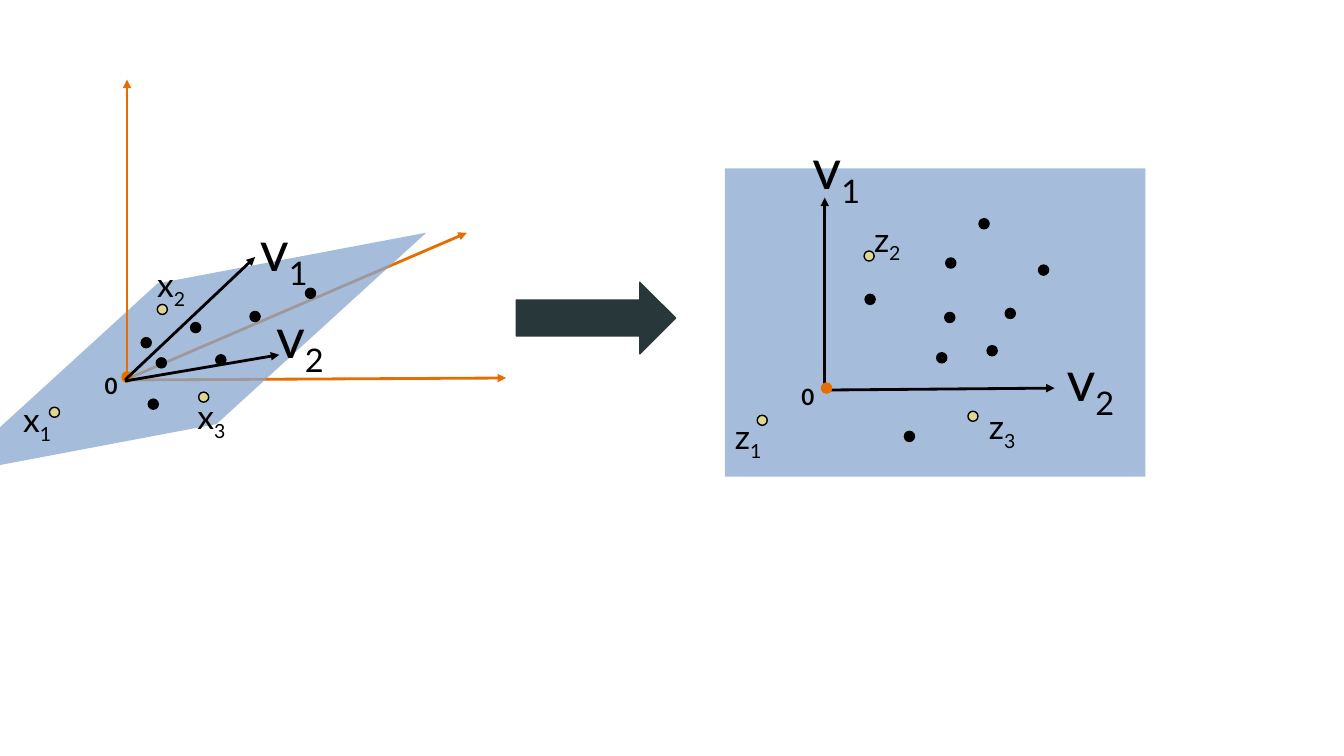
from pptx import Presentation
from pptx.dml.color import RGBColor
from pptx.enum.shapes import MSO_CONNECTOR, MSO_SHAPE
from pptx.enum.text import MSO_AUTO_SIZE
from pptx.oxml.ns import qn
from pptx.util import Inches, Pt
from lxml import etree

STRAIGHT = MSO_CONNECTOR.STRAIGHT
PARALLELOGRAM = MSO_SHAPE.PARALLELOGRAM
OVAL = MSO_SHAPE.OVAL
RIGHT_ARROW = MSO_SHAPE.RIGHT_ARROW
GROW = MSO_AUTO_SIZE.SHAPE_TO_FIT_TEXT

COLORS = {
    "ink": "000000",
    "axis": "E76D00",
    "plane": "87A7D0",
    "marked": "DFD693",
    "arrow": "27373A",
}
COLUMNS, ROWS = 133.3, 75


class Diagram:
    """Draws on one page; positions and sizes are in grid columns and rows."""

    font = "Lato"
    dot_size = 1
    label_width = 7.9
    label_heights = {16: 3.7, 24: 5, 40: 7.7}

    def __init__(self, deck):
        self.page = deck.slides.add_slide(deck.slide_layouts[6])
        self.column = deck.slide_width / COLUMNS
        self.row = deck.slide_height / ROWS

    def place(self, column, row):
        return round(column * self.column), round(row * self.row)

    def shape(self, kind, left, top, width, height, color, outline=None):
        shape = self.page.shapes.add_shape(
            kind, *self.place(left, top), *self.place(width, height))
        shape.shadow.inherit = False
        shape.fill.solid()
        shape.fill.fore_color.rgb = RGBColor.from_string(COLORS[color])
        if outline:
            shape.line.color.rgb = RGBColor.from_string(COLORS[outline])
            shape.line.width = Pt(1)
        else:
            shape.line.fill.background()
        return shape

    def plane(self, left, top, width, height, slant=0, turn=0):
        plane = self.shape(PARALLELOGRAM, left, top, width, height, "plane")
        plane.adjustments[0] = slant
        plane.rotation = turn
        color = next(plane._element.spPr.iter(qn("a:srgbClr")))
        etree.SubElement(color, qn("a:alpha"), val="75000")

    def dots(self, centers, color="ink", outline="ink"):
        size = self.dot_size
        for column, row in centers:
            dot = self.shape(OVAL, column - size / 2, row - size / 2,
                             size, size, color, outline)
            dot.rotation = 90

    def vector(self, start, end, color="ink"):
        line = self.page.shapes.add_connector(
            STRAIGHT, *self.place(*start), *self.place(*end))
        line.line.color.rgb = RGBColor.from_string(COLORS[color])
        line.line.width = Pt(2)
        etree.SubElement(line.line._get_or_add_ln(), qn("a:tailEnd"), type="triangle")
        etree.SubElement(line._element.spPr, qn("a:effectLst"))

    def label(self, left, top, size, letter, index="", bold=False):
        """Write a letter, followed by its index as a subscript."""
        box = self.page.shapes.add_textbox(
            *self.place(left, top),
            *self.place(self.label_width, self.label_heights[size]))
        frame = box.text_frame
        frame.word_wrap = True
        frame.auto_size = GROW
        para = frame.paragraphs[0]
        for text in filter(None, (letter, index)):
            span = para.add_run()
            span.text = text
            span.font.name = self.font
            span.font.size = Pt(size)
            span.font.bold = bold
            span.font.color.rgb = RGBColor.from_string(COLORS["ink"])
            if text == index:
                span._r.get_or_add_rPr().set("baseline", "-25000")

    def labels(self, letter, size, positions):
        for index, (left, top) in enumerate(positions, start=1):
            self.label(left, top, size, letter, str(index))


def draw_original_space(diagram):
    diagram.vector((12.6, 37.7), (50.2, 37.5), "axis")
    diagram.vector((12.6, 37.6), (46.3, 23.1), "axis")
    diagram.plane(-7, 27.7, 51.1, 14.8, slant=1.62, turn=349.3)
    diagram.dots([(14.5, 34), (16, 36), (15.2, 40.1), (21.9, 35.7),
                  (25.3, 31.4), (19.4, 32.5), (30.8, 29.1)])
    diagram.dots([(5.4, 40.9), (16.1, 30.7), (20.2, 39.4)], "marked")
    diagram.vector((12.6, 38), (12.6, 7.9), "axis")
    diagram.dots([(12.6, 37.4)], "axis", "axis")
    diagram.label(9.4, 36.4, 16, "0", bold=True)
    diagram.vector((12.4, 37.8), (27.7, 35.2))
    diagram.vector((12.4, 37.7), (25.3, 25.5))
    diagram.labels("v", 40, [(24.8, 20.9), (26.4, 29.5)])
    diagram.labels("x", 24, [(1.3, 39.1), (14.6, 25.7), (18.6, 38.8)])


def draw_projected_space(diagram):
    diagram.plane(71.9, 16.7, 41.7, 30.6)
    diagram.vector((81.6, 38.7), (104.6, 38.5))
    diagram.vector((81.8, 38.6), (81.8, 19.6))
    diagram.dots([(86.3, 29.7), (94.2, 31.5), (93.4, 35.5), (94.3, 26.1),
                  (100.2, 31.1), (103.5, 26.8), (98.4, 34.8),
                  (97.6, 22.2), (90.2, 43.3)])
    diagram.dots([(81.98, 38.5)], "axis", "axis")
    diagram.dots([(75.6, 41.7), (96.5, 41.3), (86.2, 25.4)], "marked")
    diagram.label(78.5, 37.5, 16, "0", bold=True)
    diagram.labels("v", 40, [(79.6, 12.8), (104.8, 33.8)])
    diagram.labels("z", 24, [(71.9, 40.8), (85.7, 21.2), (97.1, 39.8)])


def main():
    deck = Presentation()
    deck.slide_width, deck.slide_height = Inches(13.33), Inches(7.5)
    diagram = Diagram(deck)
    draw_original_space(diagram)
    draw_projected_space(diagram)
    diagram.shape(RIGHT_ARROW, 51.2, 28, 15.8, 7.1, "arrow", "arrow")
    deck.save("out.pptx")


if __name__ == "__main__":
    main()
